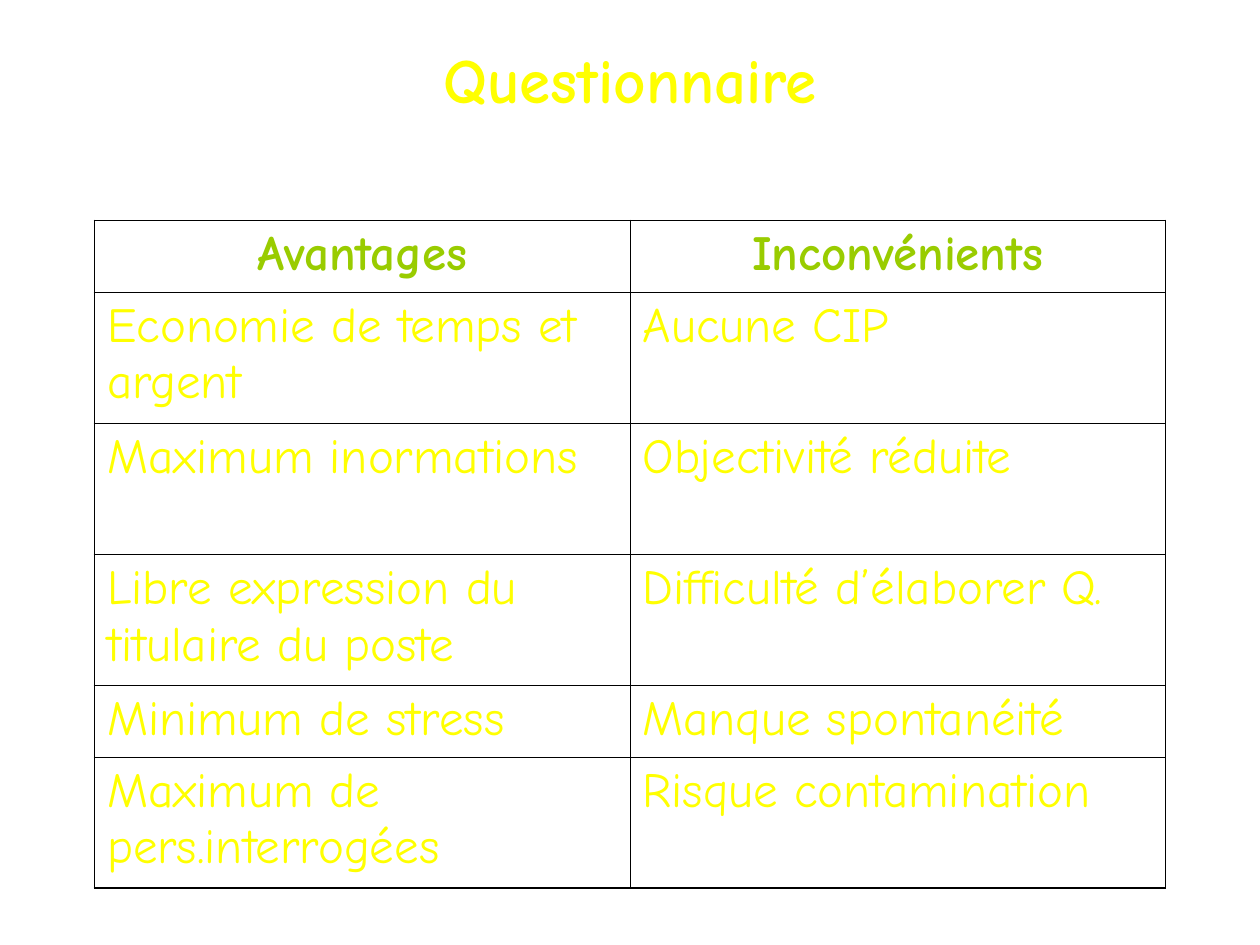
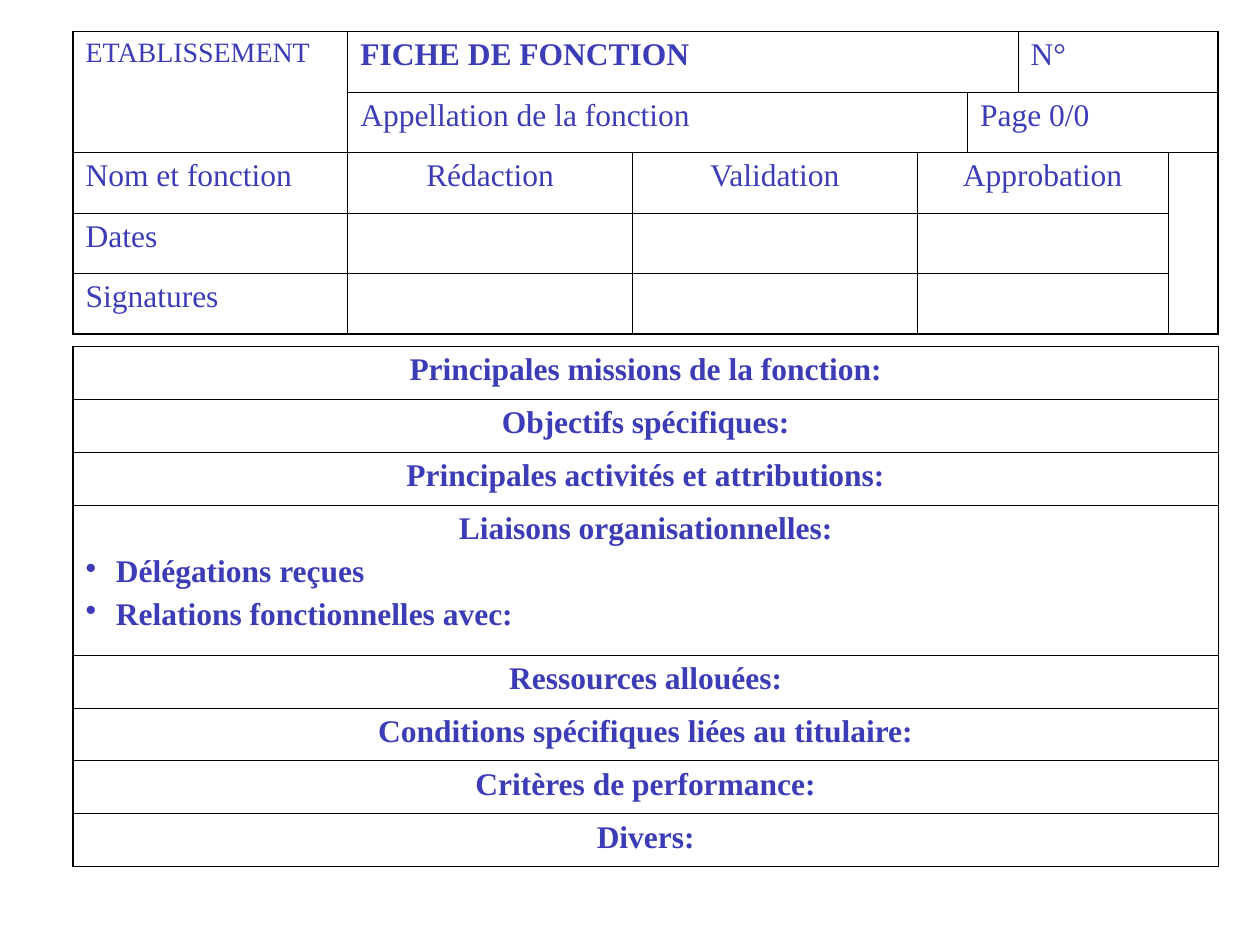
"""Build a questionnaire comparison slide and a job description form slide."""
from lxml import etree
from pptx import Presentation
from pptx.dml.color import RGBColor
from pptx.enum import text
from pptx.oxml.ns import qn
from pptx.util import Inches, Pt

COLORS = {"title": "FFFF00", "heading": "99CC00", "form": "3C3CB6", "border": "000000"}
COMIC, TIMES = "Comic Neue", "Times New Roman"
OUTER, INNER = 1.08, 0.45
LEFT, CENTER = text.PP_ALIGN.LEFT, text.PP_ALIGN.CENTER

QUESTIONNAIRE = [
    ("Avantages", "Inconvénients"),
    ("Economie de temps et argent", "Aucune CIP"),
    ("Maximum inormations", "Objectivité réduite"),
    ("Libre expression du titulaire du poste", "Difficulté d’élaborer Q."),
    ("Minimum de stress", "Manque spontanéité"),
    ("Maximum de pers.interrogées", "Risque contamination"),
]
QUESTIONNAIRE_HEIGHTS = [0.57, 1.04, 1.04, 1.04, 0.57, 1.04]

FORM_WIDTHS = [2.18, 2.26, 2.26, 0.4, 0.4, 1.19, 0.4]
FORM_HEIGHTS = [0.48] * 5
FORM_BLOCKS = [
    (0, 0, 2, 1, "ETABLISSEMENT", {"size": 16}),
    (0, 1, 1, 4, "FICHE DE FONCTION", {"bold": True}),
    (0, 5, 1, 2, "N°", {}),
    (1, 1, 1, 3, "Appellation de la fonction", {}),
    (1, 4, 1, 3, "Page 0/0", {}),
    (2, 0, 1, 1, "Nom et fonction", {}),
    (2, 1, 1, 1, "Rédaction", {"align": CENTER}),
    (2, 2, 1, 1, "Validation", {"align": CENTER}),
    (2, 3, 1, 3, "Approbation", {"align": CENTER}),
    (2, 6, 3, 1, "", {}),
    (3, 0, 1, 1, "Dates", {}),
    (4, 0, 1, 1, "Signatures", {}),
] + [(row, col, 1, span, "", {}) for row in (3, 4) for col, span in ((1, 1), (2, 1), (3, 3))]

SECTIONS = [
    ("Principales missions de la fonction:", []),
    ("Objectifs spécifiques:", []),
    ("Principales activités et attributions:", []),
    ("Liaisons organisationnelles:", ["Délégations reçues", "Relations fonctionnelles avec:"]),
    ("Ressources allouées:", []),
    ("Conditions spécifiques liées au titulaire:", []),
    ("Critères de performance:", []),
    ("Divers:", []),
]


def write(paragraph, words, font, size, color, bold=False, align=LEFT):
    paragraph.text = words
    paragraph.alignment = align
    paragraph.space_before = Pt(size / 4)
    paragraph.font.name = font
    paragraph.font.size = Pt(size)
    paragraph.font.bold = bold
    paragraph.font.color.rgb = RGBColor.from_string(COLORS[color])


def add_bullet(paragraph):
    props = paragraph._p.get_or_add_pPr()
    props.set("marL", str(Inches(0.24)))
    props.set("indent", str(-Inches(0.24)))
    bullet = etree.Element(qn("a:buChar"), char="•")
    props.insert(list(props).index(props.find(qn("a:defRPr"))), bullet)


def add_border(cell, side, width):
    line = etree.SubElement(cell._tc.get_or_add_tcPr(), qn(f"a:ln{side}"), w=str(Pt(width)))
    fill = etree.SubElement(line, qn("a:solidFill"))
    etree.SubElement(fill, qn("a:srgbClr"), val=COLORS["border"])


def add_grid(slide, left, top, widths, heights):
    table = slide.shapes.add_table(
        len(heights), len(widths), Inches(left), Inches(top),
        Inches(sum(widths)), Inches(sum(heights))).table
    table.first_row = table.horz_banding = False
    for column, width in zip(table.columns, widths):
        column.width = Inches(width)
    for row, height in zip(table.rows, heights):
        row.height = Inches(height)
    return table


def add_block(table, row, col, rows=1, cols=1):
    """Merge the block, frame its edges and return its first cell."""
    bottom, right = row + rows, col + cols
    first = table.cell(row, col)
    if rows * cols > 1:
        first.merge(table.cell(bottom - 1, right - 1))
    edges = {
        "L": OUTER if col == 0 else INNER,
        "R": OUTER if right == len(table.columns) else INNER,
        "T": OUTER if row == 0 else INNER,
        "B": OUTER if bottom == len(table.rows) else INNER,
    }
    for r in range(row, bottom):
        for c in range(col, right):
            cell = table.cell(r, c)
            on_edge = {"L": c == col, "R": c == right - 1, "T": r == row, "B": r == bottom - 1}
            for side, width in edges.items():
                if on_edge[side] or (r, c) == (row, col):
                    add_border(cell, side, width)
            cell.fill.background()
    return first


def build_questionnaire(prs):
    slide = prs.slides.add_slide(prs.slide_layouts[5])
    title = slide.shapes.title
    title.left, title.top, title.width, title.height = 0, 0, Inches(10), Inches(1.25)
    title.text_frame.vertical_anchor = text.MSO_ANCHOR.MIDDLE
    write(title.text_frame.paragraphs[0], "Questionnaire", COMIC, 36, "title", True, CENTER)
    title.text_frame.paragraphs[0].space_before = Pt(0)

    table = add_grid(slide, 0.75, 1.75, [4.25, 4.25], QUESTIONNAIRE_HEIGHTS)
    for row, pair in enumerate(QUESTIONNAIRE):
        style = ("heading", True, CENTER) if row == 0 else ("title",)
        for col, words in enumerate(pair):
            cell = add_block(table, row, col)
            write(cell.text_frame.paragraphs[0], words, COMIC, 28, *style)


def build_job_form(prs):
    slide = prs.slides.add_slide(prs.slide_layouts[6])
    header = add_grid(slide, 0.58, 0.25, FORM_WIDTHS, FORM_HEIGHTS)
    for row, col, rows, cols, words, style in FORM_BLOCKS:
        cell = add_block(header, row, col, rows, cols)
        write(cell.text_frame.paragraphs[0], words,
              **{"font": TIMES, "size": 18, "color": "form", **style})

    heights = [1.19 if bullets else 0.42 for _, bullets in SECTIONS]
    sections = add_grid(slide, 0.58, 2.75, [sum(FORM_WIDTHS)], heights)
    for row, (heading, bullets) in enumerate(SECTIONS):
        frame = add_block(sections, row, 0).text_frame
        write(frame.paragraphs[0], heading, TIMES, 18, "form", True, CENTER)
        for words in bullets:
            paragraph = frame.add_paragraph()
            write(paragraph, words, TIMES, 18, "form", True)
            add_bullet(paragraph)


def main():
    prs = Presentation()
    prs.slide_width, prs.slide_height = Inches(10), Inches(7.5)
    build_questionnaire(prs)
    build_job_form(prs)
    prs.save("out.pptx")


if __name__ == "__main__":
    main()
